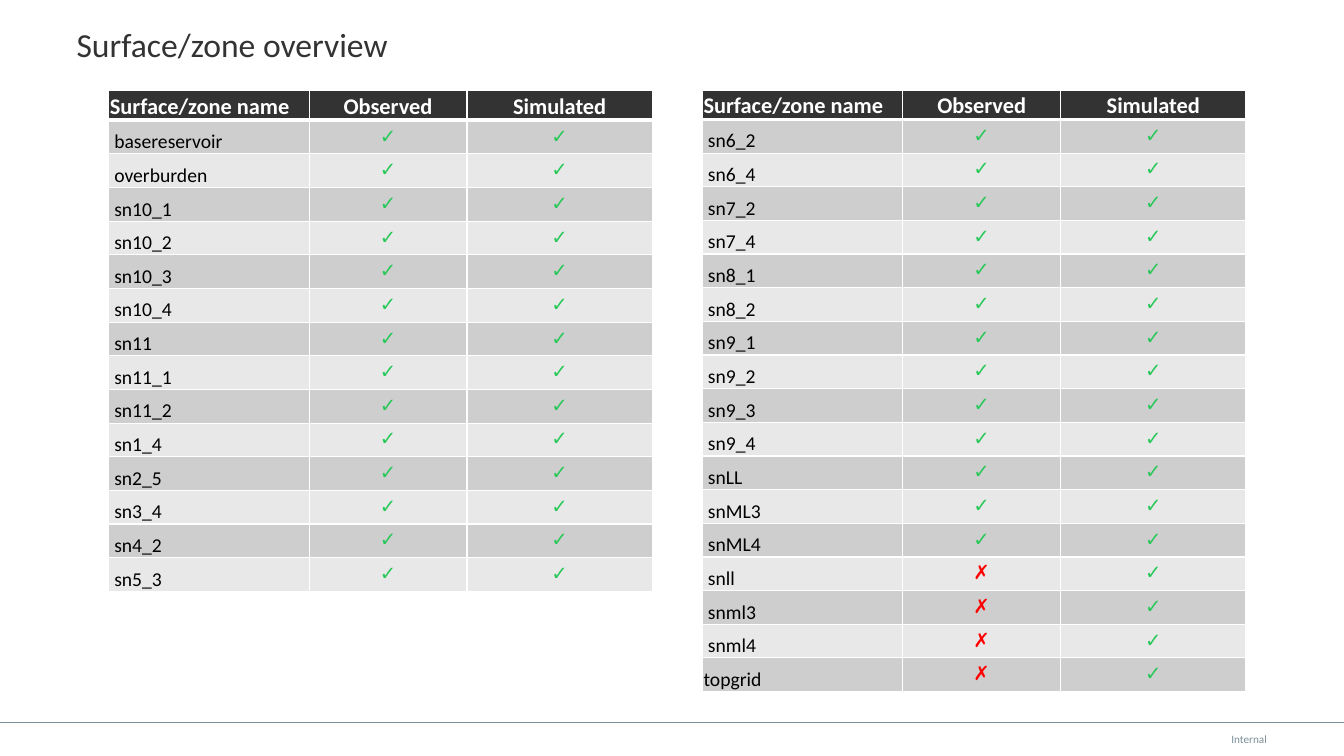
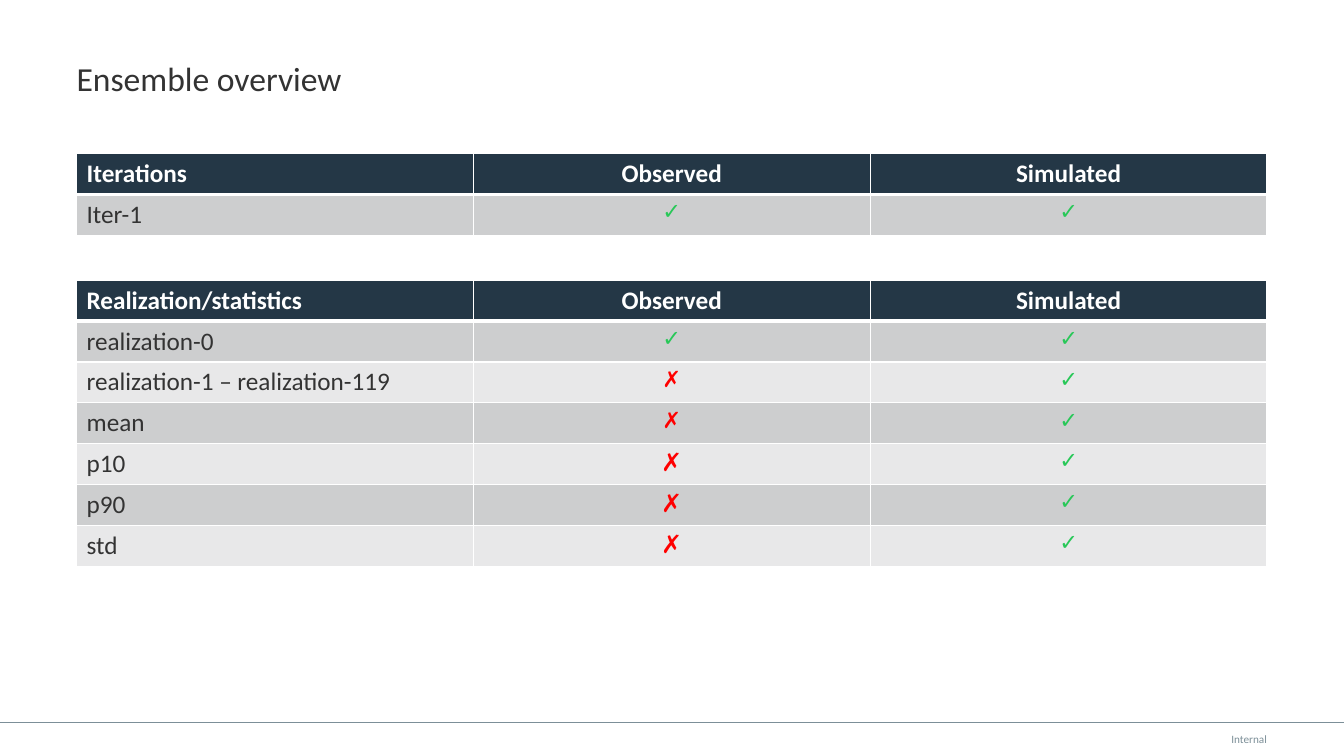
from dataclasses import dataclass

import pptx
import pptx.dml.color
import pptx.enum.shapes
import pptx.enum.text
import pptx.oxml
import pptx.oxml.ns
import pptx.util

Cm = pptx.util.Cm
Pt = pptx.util.Pt
Align = pptx.enum.text.PP_ALIGN
Anchor = pptx.enum.text.MSO_ANCHOR

YES, NO = "✓", "✗"


@dataclass(frozen=True)
class Theme:
    font: str = "Calibri"
    mark_font: str = "Arial"
    text: str = "333333"
    muted: str = "7C8F98"
    white: str = "FFFFFF"
    yes: str = "28C858"
    no: str = "FF0000"
    title_size: int = 24
    footer_size: int = 8
    grid_line: float = 1
    header_line: float = 3


@dataclass(frozen=True)
class TableStyle:
    header_fill: str
    bands: tuple
    text: str
    header_size: int
    body_size: int
    mark_size: int
    columns: tuple
    compact: bool = False


THEME = Theme()
ZONE_STYLE = TableStyle("333333", ("CECECE", "E8E8E8"), "000000", 16, 14, 14,
                        (5.05, 3.98, 4.67), compact=True)
ENSEMBLE_STYLE = TableStyle("243746", ("CDCECF", "E8E8E9"), THEME.text, 18, 18, 16,
                            (10, 10, 10))

SLIDE_WIDTH, SLIDE_HEIGHT = 33.87, 19.05
MARGIN, CONTENT_WIDTH = 1.93, 30
FOOTER_TOP = 18.19
TIGHT_INSET, NAME_INDENT = 0.03, 0.14

LEFT_ZONES = ["basereservoir", "overburden", "sn10_1", "sn10_2", "sn10_3", "sn10_4",
              "sn11", "sn11_1", "sn11_2", "sn1_4", "sn2_5", "sn3_4", "sn4_2", "sn5_3"]
RIGHT_ZONES = ["sn6_2", "sn6_4", "sn7_2", "sn7_4", "sn8_1", "sn8_2", "sn9_1", "sn9_2",
               "sn9_3", "sn9_4", "snLL", "snML3", "snML4", "snll", "snml3", "snml4",
               "topgrid"]
UNOBSERVED_ZONES = {"snll", "snml3", "snml4", "topgrid"}
FLUSH_NAMES = {"topgrid"}

# Name, observed mark, size of the observed mark
STATISTICS = [("realization-0", YES, 16), ("realization-1 – realization-119", NO, 16),
              ("mean", NO, 16), ("p10", NO, 18), ("p90", NO, 18), ("std", NO, 18)]


def color(value):
    return pptx.dml.color.RGBColor.from_string(value)


def write(paragraph, text, size, text_color, font=THEME.font, bold=False, align=Align.LEFT):
    paragraph.add_run().text = text
    paragraph.alignment = align
    paragraph.font.name = font
    paragraph.font.size = Pt(size)
    paragraph.font.bold = bold
    paragraph.font.color.rgb = color(text_color)


def add_text(slide, box, insets, text, size, text_color, align=Align.LEFT,
             anchor=Anchor.TOP):
    shape = slide.shapes.add_textbox(*map(Cm, box))
    frame = shape.text_frame
    frame.word_wrap = True
    frame.vertical_anchor = anchor
    frame.margin_left = frame.margin_right = 0
    frame.margin_top, frame.margin_bottom = map(Cm, insets)
    write(frame.paragraphs[0], text, size, text_color, align=align)


# Parts that every slide shares
def add_frame(presentation, title, title_top):
    slide = presentation.slides.add_slide(presentation.slide_layouts[6])
    add_text(slide, (27.1, 18.31, 4.83, 0.61), (0.13, 0.13), "Internal",
             THEME.footer_size, THEME.muted, Align.RIGHT, Anchor.MIDDLE)
    rule = slide.shapes.add_connector(pptx.enum.shapes.MSO_CONNECTOR.STRAIGHT, 0,
                                      Cm(FOOTER_TOP), Cm(SLIDE_WIDTH), Cm(FOOTER_TOP))
    rule.line.color.rgb = color(THEME.muted)
    rule.line.width = Pt(0.25)
    properties = rule._element.spPr
    properties.append(properties.makeelement(pptx.oxml.ns.qn("a:effectLst"), {}))
    add_text(slide, (MARGIN, title_top, CONTENT_WIDTH, 3.2), (0.61, 0.2), title,
             THEME.title_size, THEME.text)
    return slide


# Tables
def set_borders(cell, top, bottom):
    properties = cell._tc.get_or_add_tcPr()
    widths = (("lnL", THEME.grid_line), ("lnR", THEME.grid_line),
              ("lnT", top), ("lnB", bottom))
    for position, (tag, width) in enumerate(widths):
        properties.insert(position, pptx.oxml.parse_xml(
            f'<a:{tag} {pptx.oxml.ns.nsdecls("a")} w="{Pt(width)}"><a:solidFill>'
            f'<a:srgbClr val="{THEME.white}"/></a:solidFill></a:{tag}>'))


def format_cell(cell, row, fill):
    cell.fill.solid()
    cell.fill.fore_color.rgb = color(fill)
    set_borders(cell,
                top=THEME.header_line if row == 1 else THEME.grid_line,
                bottom=THEME.header_line if row == 0 else THEME.grid_line)


def tighten(cell, left=TIGHT_INSET):
    cell.vertical_anchor = Anchor.BOTTOM
    cell.margin_left = Cm(left)
    cell.margin_right = cell.margin_top = Cm(TIGHT_INSET)
    cell.margin_bottom = 0


def add_mark_table(slide, left, top, heading, rows, style, header_height, row_height):
    height = header_height + row_height * len(rows)
    table = slide.shapes.add_table(len(rows) + 1, len(style.columns), Cm(left), Cm(top),
                                   Cm(sum(style.columns)), Cm(height)).table
    table.horz_banding = False
    for column, width in zip(table.columns, style.columns):
        column.width = Cm(width)
    for index, row in enumerate(table.rows):
        row.height = Cm(row_height if index else header_height)

    # Header row
    for column, text in enumerate((heading, "Observed", "Simulated")):
        cell = table.cell(0, column)
        format_cell(cell, 0, style.header_fill)
        if style.compact:
            tighten(cell)
        write(cell.text_frame.paragraphs[0], text, style.header_size, THEME.white,
              bold=True, align=Align.CENTER if column else Align.LEFT)

    # Names and marks
    for row, (name, observed, observed_size) in enumerate(rows, start=1):
        cells = [table.cell(row, column) for column in range(len(style.columns))]
        for cell in cells:
            format_cell(cell, row, style.bands[(row - 1) % 2])
        if style.compact:
            tighten(cells[0], TIGHT_INSET if name in FLUSH_NAMES else NAME_INDENT)
        write(cells[0].text_frame.paragraphs[0], name, style.body_size, style.text)
        marks = ((observed, observed_size), (YES, style.mark_size))
        for cell, (mark, size) in zip(cells[1:], marks):
            write(cell.text_frame.paragraphs[0], mark, size,
                  THEME.yes if mark == YES else THEME.no,
                  font=THEME.mark_font, bold=True, align=Align.CENTER)


# Slides
def add_zone_slide(presentation):
    slide = add_frame(presentation, "Surface/zone overview", 0)
    for left, zones, header_height, row_height in ((2.74, LEFT_ZONES, 0.74, 0.81),
                                                   (17.7, RIGHT_ZONES, 0.72, 0.82)):
        rows = [(zone, NO if zone in UNOBSERVED_ZONES else YES, ZONE_STYLE.mark_size)
                for zone in zones]
        add_mark_table(slide, left, 2.29, "Surface/zone name", rows, ZONE_STYLE,
                       header_height, row_height)


def add_ensemble_slide(presentation):
    slide = add_frame(presentation, "Ensemble overview", 0.86)
    iterations = [("Iter-1", YES, ENSEMBLE_STYLE.mark_size)]
    for top, heading, rows in ((3.87, "Iterations", iterations),
                               (7.06, "Realization/statistics", STATISTICS)):
        add_mark_table(slide, MARGIN, top, heading, rows, ENSEMBLE_STYLE, 1.03, 1.03)


def main():
    presentation = pptx.Presentation()
    presentation.slide_width = Cm(SLIDE_WIDTH)
    presentation.slide_height = Cm(SLIDE_HEIGHT)
    add_zone_slide(presentation)
    add_ensemble_slide(presentation)
    presentation.save("out.pptx")


if __name__ == "__main__":
    main()
